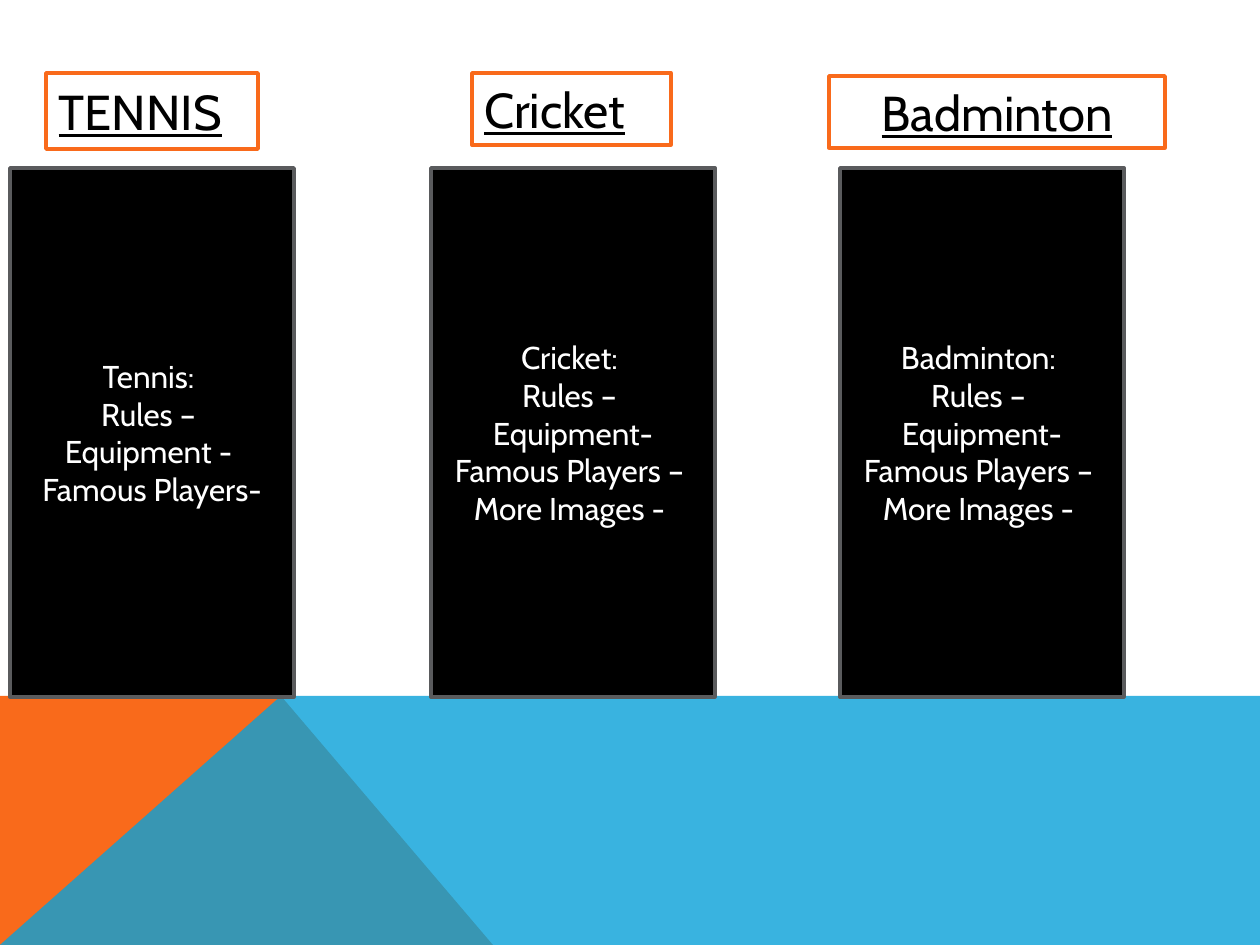
from dataclasses import dataclass

from lxml.etree import SubElement
from pptx import Presentation
from pptx.dml.color import RGBColor
from pptx.enum.shapes import MSO_SHAPE as Shape
from pptx.enum.text import MSO_ANCHOR as Anchor, MSO_AUTO_SIZE as AutoSize, PP_ALIGN as Align
from pptx.oxml.ns import qn
from pptx.util import Emu, Pt

EMU_PER_PX = 914400 / 126
WIDTH, HEIGHT = 1260, 945


@dataclass(frozen=True)
class Theme:
    font: str = "Cabin"
    heading_size: int = 28
    body_size: int = 18
    line_width: int = 2
    white: str = "FFFFFF"
    black: str = "000000"
    orange: str = "F96A1B"
    blue: str = "08A1D9"
    gray: str = "5A5B5D"


class SlideBuilder:
    """Holds the theme and the current slide."""

    def __init__(self, slide, theme):
        self.slide = slide
        self.theme = theme

    def place(self, shape, box):
        for name, px in zip(("left", "top", "width", "height"), box):
            setattr(shape, name, Emu(round(px * EMU_PER_PX)))

    def paint(self, shape, fill, line):
        shape.fill.solid()
        shape.fill.fore_color.rgb = RGBColor.from_string(fill)
        shape.line.color.rgb = RGBColor.from_string(line)
        shape.line.width = Pt(self.theme.line_width)

    def set_text(self, shape, lines, color, font_format, align, anchor, auto_size=AutoSize.NONE):
        frame = shape.text_frame
        frame_format = {"word_wrap": True, "auto_size": auto_size, "vertical_anchor": anchor}
        for name, value in frame_format.items():
            setattr(frame, name, value)
        frame.text = "\n".join(lines)
        for paragraph in frame.paragraphs:
            paragraph.alignment = align
            font = paragraph.runs[0].font
            for name, value in {"name": self.theme.font, **font_format}.items():
                setattr(font, name, value)
            font.color.rgb = RGBColor.from_string(color)

    def rectangle(self, box, fill, line):
        shape = self.slide.shapes.add_shape(Shape.RECTANGLE, 0, 0, 0, 0)
        shape.shadow.inherit = False
        self.place(shape, box)
        self.paint(shape, fill, line)
        return shape

    def band(self, points, fill, opacity=100):
        builder = self.slide.shapes.build_freeform(*points[0], scale=EMU_PER_PX)
        builder.add_line_segments(points[1:], close=True)
        shape = builder.convert_to_shape()
        shape.shadow.inherit = False
        shape.fill.solid()
        shape.fill.fore_color.rgb = RGBColor.from_string(fill)
        shape.line.fill.background()
        if opacity < 100:
            color = shape.element.spPr.find(qn("a:solidFill"))[0]
            SubElement(color, qn("a:alpha")).set("val", str(opacity * 1000))

    def heading_text(self, shape, text, align, **frame_format):
        font_format = {"size": Pt(self.theme.heading_size), "underline": True}
        self.set_text(shape, [text], self.theme.black, font_format, align, **frame_format)

    def title(self, text, box):
        shape = self.slide.shapes.title
        # Bring the title in front of the bands
        shape.element.getparent().append(shape.element)
        self.place(shape, box)
        self.paint(shape, self.theme.white, self.theme.orange)
        self.heading_text(shape, text, Align.LEFT, anchor=Anchor.MIDDLE)

    def heading(self, text, box, align):
        shape = self.rectangle(box, self.theme.white, self.theme.orange)
        self.heading_text(shape, text, align, anchor=Anchor.TOP,
                          auto_size=AutoSize.SHAPE_TO_FIT_TEXT)

    def card(self, left, lines):
        shape = self.rectangle((left, 168, 284, 529), self.theme.black, self.theme.gray)
        self.set_text(shape, lines, self.theme.white, {"size": Pt(self.theme.body_size)},
                      Align.CENTER, Anchor.MIDDLE)


def main():
    presentation = Presentation()
    presentation.slide_width = Emu(round(WIDTH * EMU_PER_PX))
    presentation.slide_height = Emu(round(HEIGHT * EMU_PER_PX))
    theme = Theme()
    title_only = presentation.slide_layouts[5]
    builder = SlideBuilder(presentation.slides.add_slide(title_only), theme)

    # Bands along the bottom, meeting at one peak
    corner, peak = (0, HEIGHT), (281, 696)
    builder.band([corner, (0, 696), peak, (493, HEIGHT)], theme.orange)
    builder.band([corner, peak, (WIDTH, 696), (WIDTH, HEIGHT)], theme.blue, opacity=80)

    # Headings
    builder.title("TENNIS", (46, 73, 212, 76))
    builder.heading("Cricket", (472, 73, 199, 72), Align.LEFT)
    builder.heading("Badminton", (829, 76, 336, 72), Align.CENTER)

    # Sport cards
    builder.card(10, ["Tennis: ", "Rules – ", "Equipment - ", "Famous Players-"])
    topics = ["Rules – ", "Equipment-", "Famous Players – ", "More Images - "]
    for left, sport in ((431, "Cricket: "), (840, "Badminton: ")):
        builder.card(left, [sport, *topics])

    presentation.save("out.pptx")


if __name__ == "__main__":
    main()
